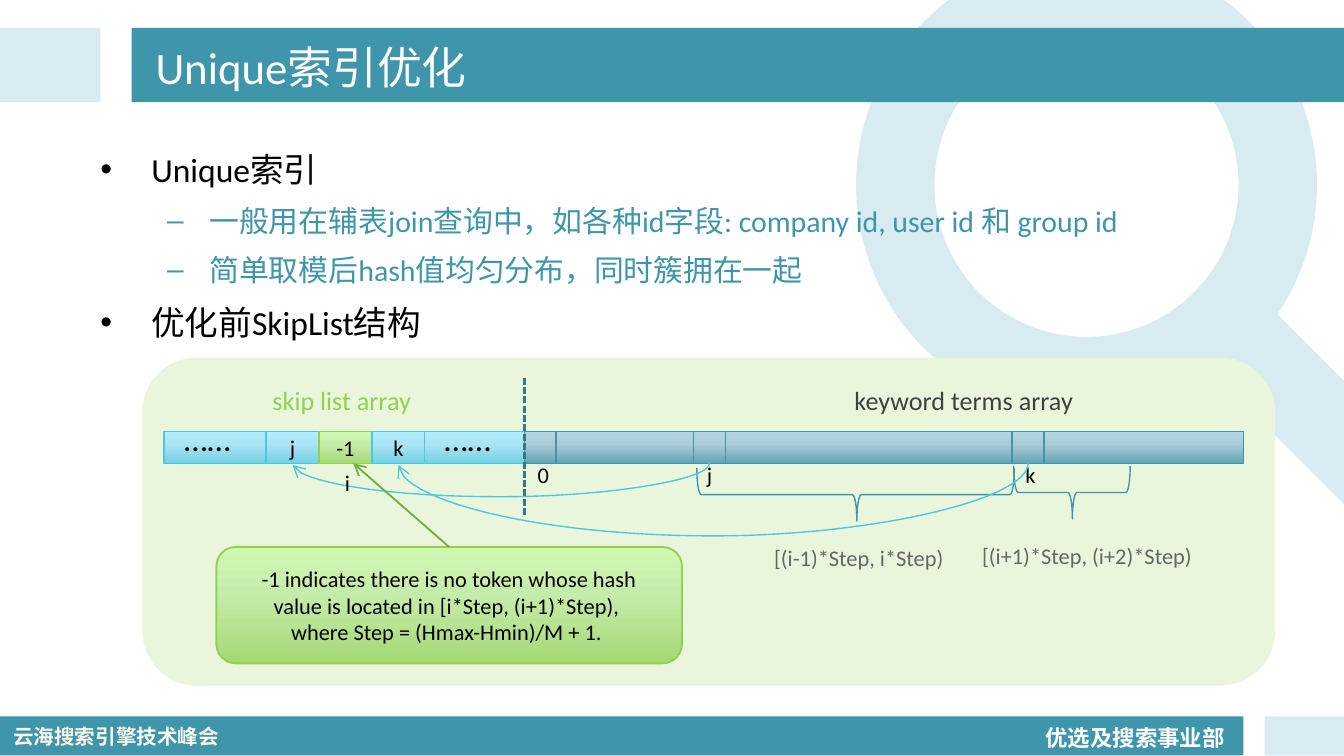
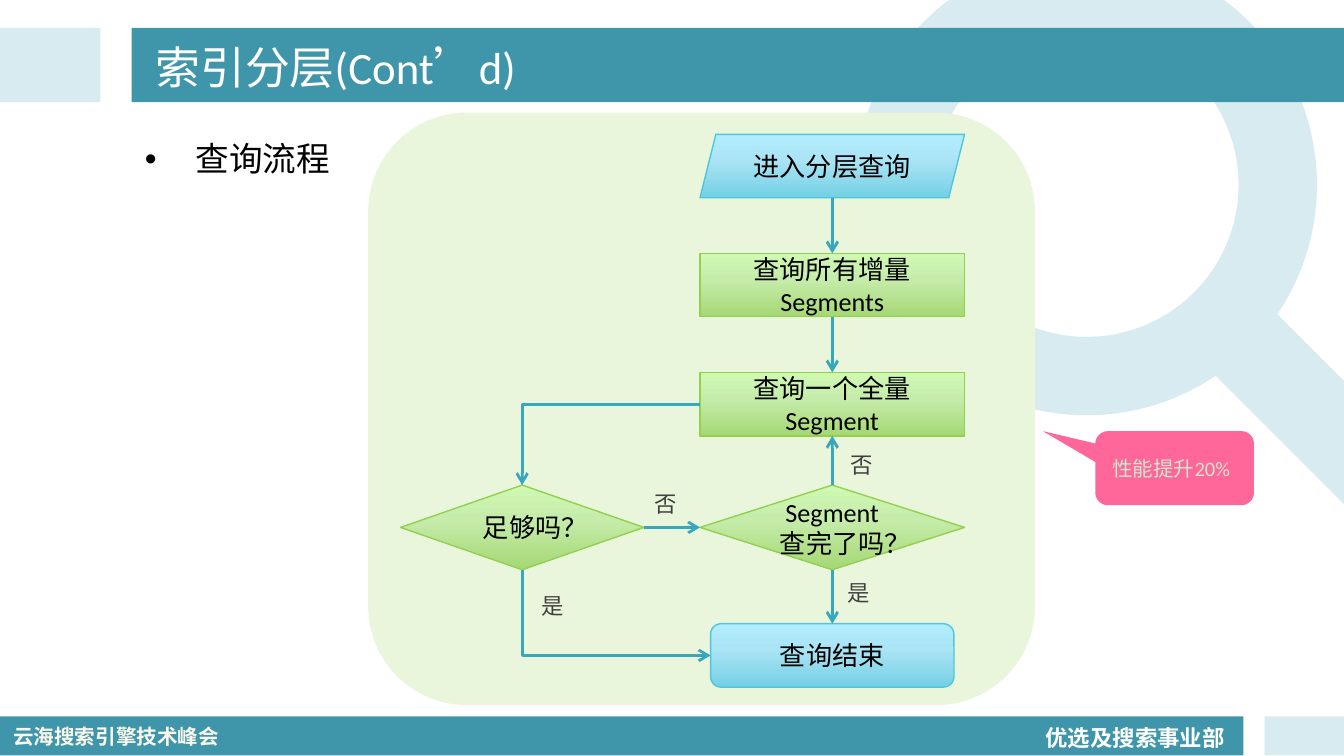
from copy import deepcopy
from typing import NamedTuple

from pptx import Presentation
from pptx.dml.color import RGBColor
from pptx.enum import dml, shapes, text
from pptx.oxml import ns, xmlchemy
from pptx.util import Cm, Pt

TEAL = RGBColor(0x3F, 0x95, 0xAA)
DEEP_TEAL = RGBColor(0x33, 0x7A, 0x8B)
FLOW_TEAL = RGBColor(0x37, 0xA7, 0xBE)
PALE = RGBColor(0xD7, 0xEB, 0xF0)
MINT = RGBColor(0xE9, 0xF6, 0xDC)
CYAN = RGBColor(0x4E, 0xC6, 0xDE)
LIME = RGBColor(0x92, 0xD0, 0x50)
LEAF = RGBColor(0x77, 0xAD, 0x3F)
PINK = RGBColor(0xFF, 0x66, 0x99)
SAGE = RGBColor(0xCB, 0xE7, 0xCE)
CREAM = RGBColor(0xF9, 0xF7, 0xEA)
WHITE = RGBColor(0xFF, 0xFF, 0xFF)
BLACK = RGBColor(0, 0, 0)
CHARCOAL = RGBColor(0x40, 0x40, 0x40)
GRAY = RGBColor(0x66, 0x66, 0x66)
STEEL_BLEND = [RGBColor.from_string(c) for c in ("B5D7E4", "ABCBD7", "62A3B5")]
CYAN_BLEND = [RGBColor.from_string(c) for c in ("B2EDFF", "AAE4F5", "74D0E4")]
LIME_BLEND = [RGBColor.from_string(c) for c in ("CFF9B3", "C6ECAB", "A5D874")]
STEEL_STYLE = dict(fill=STEEL_BLEND, line=TEAL)
CYAN_STYLE = dict(fill=CYAN_BLEND, line=CYAN)
LIME_STYLE = dict(fill=LIME_BLEND, line=LIME)

LATIN, CHINESE = "Calibri", "Noto Sans CJK SC"
FORM = shapes.MSO_SHAPE
LINK = shapes.MSO_CONNECTOR
CENTER = text.PP_ALIGN.CENTER
MIDDLE = text.MSO_ANCHOR.MIDDLE


class Box(NamedTuple):
    """A rectangle in centimetres."""
    x: float
    y: float
    w: float
    h: float

    def inner(self, dx, dy, w, h):
        """Return a rectangle offset from this one's corner."""
        return Box(self.x + dx, self.y + dy, w, h)

    def point(self, dx, dy):
        """Return a point offset from this rectangle's corner."""
        return self.x + dx, self.y + dy


def add_child(parent, tag, **attributes):
    """Append a drawing element to its parent."""
    child = xmlchemy.OxmlElement(tag)
    for key, value in attributes.items():
        child.set(key, value)
    parent.append(child)
    return child


def write(frame, content, size=12, color=BLACK, bold=False, font=LATIN, align=None,
          spacing=None, bullet=None, margin=0, hang=0):
    """Add one paragraph for each line of the content."""
    for line in content.split("\n"):
        paragraph = frame.paragraphs[-1]
        if paragraph.runs:
            paragraph = frame.add_paragraph()
        paragraph.alignment = align
        paragraph.line_spacing = spacing
        if bullet:
            paragraph.space_before = Pt(size * 0.2)
            properties = paragraph._p.get_or_add_pPr()
            properties.set("marL", str(Cm(margin)))
            properties.set("indent", str(-Cm(hang)))
            add_child(properties, "a:buFont", typeface="Arial")
            add_child(properties, "a:buChar", char=bullet)
        run = paragraph.add_run()
        run.text = line
        run.font.size, run.font.bold, run.font.name = Pt(size), bold, font
        run.font.color.rgb = color
        add_child(run._r.get_or_add_rPr(), "a:ea", typeface=CHINESE)


def label(slide, box, content, wrap=False, grow=True, anchor=None, **style):
    """Place a text box and return its frame."""
    frame = slide.shapes.add_textbox(*map(Cm, box)).text_frame
    frame.word_wrap = wrap
    frame.vertical_anchor = anchor
    if grow:
        frame.auto_size = text.MSO_AUTO_SIZE.SHAPE_TO_FIT_TEXT
    write(frame, content, **style)
    return frame


def blend(shape, colors):
    """Fill a shape from top to bottom with three colours."""
    shape.fill.gradient()
    shape.fill.gradient_angle = 270
    stops = shape._element.spPr.find(".//" + ns.qn("a:gsLst"))
    stops.insert(1, deepcopy(stops[0]))
    for stop, color, position in zip(shape.fill.gradient_stops, colors, (0, 0.4, 1)):
        stop.color.rgb, stop.position = color, position


def draw(slide, form, box, fill=None, line=None, width=0.75, rotation=0, adjust=(),
         content="", align=CENTER, **style):
    """Place a preset shape with its text."""
    shape = slide.shapes.add_shape(form, *map(Cm, box))
    shape.shadow.inherit = False
    shape.rotation = rotation
    for place, value in enumerate(adjust):
        shape.adjustments[place] = value
    if fill is None:
        shape.fill.background()
    elif isinstance(fill, list):
        blend(shape, fill)
    else:
        shape.fill.solid()
        shape.fill.fore_color.rgb = fill
    if line is None:
        shape.line.fill.background()
    else:
        shape.line.color.rgb, shape.line.width = line, Pt(width)
    if content:
        shape.text_frame.word_wrap = True
        shape.text_frame.vertical_anchor = MIDDLE
        write(shape.text_frame, content, align=align, **style)


def connect(slide, start, end, color, width, kind=LINK.STRAIGHT, turn=0, preset=None,
            adjust=None, dash=None, arrow=True):
    """Draw a connector, turned by a quarter when it leaves vertically."""
    if turn:
        cx, cy = (start[0] + end[0]) / 2, (start[1] + end[1]) / 2
        sign = 1 if turn == 90 else -1
        start, end = [(cx + sign * (y - cy), cy - sign * (x - cx)) for x, y in (start, end)]
    connector = slide.shapes.add_connector(kind, *map(Cm, (*start, *end)))
    connector.line.color.rgb, connector.line.width = color, Pt(width)
    if dash:
        connector.line.dash_style = dash
    properties = connector._element.spPr
    geometry = properties.find(ns.qn("a:prstGeom"))
    if turn:
        properties.find(ns.qn("a:xfrm")).set("rot", str(turn * 60000))
    if preset:
        geometry.set("prst", preset)
    if adjust:
        add_child(geometry.find(ns.qn("a:avLst")), "a:gd", name="adj1",
                  fmla=f"val {round(adjust * 100000)}")
    if arrow:
        add_child(properties.find(ns.qn("a:ln")), "a:tailEnd", type="arrow")
    add_child(properties, "a:effectLst")


def magnifier(slide, box):
    """Draw the large lens and its handle."""
    draw(slide, FORM.DONUT, box, fill=PALE, adjust=[0.17])
    draw(slide, FORM.ROUNDED_RECTANGLE, box.inner(5.82, 7.72, 5.44, 1.65), fill=PALE,
         rotation=45, adjust=[0.5])


def footer(slide, box):
    """Draw the bottom band with event and department."""
    draw(slide, FORM.RECTANGLE, box.inner(0, 0, 23.5, box.h), fill=TEAL)
    draw(slide, FORM.RECTANGLE, box.inner(23.9, 0, 1.5, box.h), fill=PALE)
    label(slide, box.inner(19.51, -0.08, 3.94, 0.84), "优选及搜索事业部", color=WHITE,
          bold=True, spacing=1.2)
    label(slide, box.inner(0, 0.02, 4.5, 0.74), "云海搜索引擎技术峰会", wrap=True, size=11,
          color=CREAM, bold=True, font=CHINESE)


def header(slide, box, title):
    """Draw the top band with the slide title."""
    draw(slide, FORM.RECTANGLE, box.inner(0, 0, 1.9, box.h), fill=PALE)
    draw(slide, FORM.RECTANGLE, box.inner(2.49, 0, 22.91, box.h), fill=TEAL)
    label(slide, box.inner(2.69, 0.05, 21.44, 1.37), title, wrap=True, grow=False,
          anchor=MIDDLE, size=24, color=WHITE)


def start_slide(deck, title):
    """Add a blank slide with the shared bands."""
    slide = deck.slides.add_slide(deck.slide_layouts[6])
    magnifier(slide, Box(16.18, -0.86, 8.71, 8.71))
    footer(slide, Box(0, 13.54, 25.4, 0.74))
    header(slide, Box(0, 0.53, 25.4, 1.4), title)
    return slide


def outline(slide, box, points):
    """Write bullet points given as level and wording."""
    levels = [dict(size=18, bullet="•", margin=0.96, hang=0.96),
              dict(size=16, bullet="–", margin=2.06, hang=0.8, color=TEAL)]
    (level, first), *others = points
    frame = label(slide, box, first, wrap=True, grow=False, spacing=1.2, **levels[level])
    for level, wording in others:
        write(frame, wording, spacing=1.2, **levels[level])


def skip_list(slide, box):
    """Draw the skip list array pointing into the keyword terms array."""
    top, high, split = 1.4, 0.6, 7.22
    bottom = top + high
    slots = {"0": split, "j": 10.42, "k": 16.44}
    cells = {"j": 2.34, "-1": 3.34, "k": 4.34}
    draw(slide, FORM.ROUNDED_RECTANGLE, box, fill=MINT)
    draw(slide, FORM.RECTANGLE, box.inner(split, top, 13.59, high), **STEEL_STYLE)
    draw(slide, FORM.RECTANGLE, box.inner(0.41, top, split - 0.41, high), **CYAN_STYLE)
    for name, x in cells.items():
        style = LIME_STYLE if name == "-1" else CYAN_STYLE
        draw(slide, FORM.RECTANGLE, box.inner(x, top, 1, high), content=name, **style)
    for x in (0.54, 5.46):
        label(slide, box.inner(x, 1.01, 1.47, 1.02), "……", size=18)
    label(slide, box.inner(2.21, 0.38, 3.18, 0.86), "skip list array", size=14, color=LIME)
    label(slide, box.inner(13.21, 0.38, 4.98, 0.86), "keyword terms array", size=14,
          color=CHARCOAL)
    for x, y, span in ((13.48, 2.59, 6), (17.57, 2.55, 2.2)):
        draw(slide, FORM.LEFT_BRACE, box.inner(x - 0.5, y - span / 2, 1, span), line=TEAL,
             rotation=270, adjust=[0.083, 0.504])
    for name, x in slots.items():
        draw(slide, FORM.RECTANGLE, box.inner(x, top, high, high), **STEEL_STYLE)
        label(slide, box.inner(x, 1.83, 0.7, 0.76), name)
    gap = 0.03
    for name, drop in (("j", 0.63), ("k", 1.37)):
        connect(slide, box.point(slots[name] + 0.3, bottom),
                box.point(cells[name] + 0.5, bottom + gap), CYAN, 0.75, kind=LINK.CURVE,
                turn=90, adjust=drop / gap)
    label(slide, box.inner(3.58, 1.98, 0.84, 0.76), "i", wrap=True)
    draw(slide, FORM.ROUNDED_RECTANGLE, box.inner(1.4, 3.58, 8.8, 2.2), width=1,
         content="-1 indicates there is no token whose hash value is located in "
                 "[i*Step, (i+1)*Step), \nwhere Step = (Hmax-Hmin)/M + 1. ", **LIME_STYLE)
    connect(slide, box.point(5.8, 3.58), box.point(3.99, bottom), LEAF, 1)
    connect(slide, box.point(split, 0.38), box.point(split, 3), DEEP_TEAL, 1.25,
            dash=dml.MSO_LINE.SQUARE_DOT, arrow=False)
    label(slide, box.inner(15.62, 3.37, 4.52, 0.76), "[(i+1)*Step, (i+2)*Step)", color=GRAY)
    label(slide, box.inner(11.69, 3.4, 3.73, 0.76), "[(i-1)*Step, i*Step)", color=GRAY)


def query_flow(slide, box):
    """Draw the flow chart of the layered query."""
    left, wide, high = 6.27, 5, 1.2
    middle, side = left + wide / 2, 2.91
    enter, recent, full = (0.41 + 2.25 * row for row in range(3))
    ask, ask_high, finish = 7.04, 1.6, 9.66
    ask_middle, ask_end = ask + ask_high / 2, ask + ask_high
    draw(slide, FORM.ROUNDED_RECTANGLE, box, fill=MINT)
    steps = (
        (FORM.PARALLELOGRAM, (left, enter, wide, high), "进入分层查询", CYAN_STYLE),
        (FORM.RECTANGLE, (left, recent, wide, high), "查询所有增量\nSegments", LIME_STYLE),
        (FORM.RECTANGLE, (left, full, wide, high), "查询一个全量Segment", LIME_STYLE),
        (FORM.DIAMOND, (side - 2.3, ask, 4.6, ask_high), "足够吗？", LIME_STYLE),
        (FORM.DIAMOND, (left, ask, wide, ask_high), "Segment\n查完了吗？", LIME_STYLE),
        (FORM.ROUNDED_RECTANGLE, (middle - 2.3, finish, 4.6, high), "查询结束", CYAN_STYLE),
    )
    for form, place, wording, style in steps:
        draw(slide, form, box.inner(*place), content=wording, size=14, **style)
    arrows = (
        ((middle, enter + high), (middle, recent), {}),
        ((middle, recent + high), (middle, full), {}),
        ((middle, ask), (middle, full + high), {}),
        ((middle, ask_end), (middle, finish), {}),
        ((side + 2.3, ask_middle), (left, ask_middle), {}),
        ((left, full + high / 2), (side, ask),
         dict(kind=LINK.ELBOW, preset="bentConnector2")),
        ((side, ask_end), (middle - 2.3, finish + high / 2),
         dict(kind=LINK.ELBOW, preset="bentConnector2", turn=270)),
    )
    for start, end, route in arrows:
        connect(slide, box.point(*start), box.point(*end), FLOW_TEAL, 1.5, **route)
    for answer, x, y in (("是", 8.81, 8.59), ("否", 8.86, 6.18), ("是", 3.02, 8.84),
                         ("否", 5.16, 6.91)):
        label(slide, box.inner(x, y, 0.94, 0.86), answer, color=CHARCOAL, spacing=1.2)


def unique_index_slide(deck):
    """Build the slide on the unique index."""
    slide = start_slide(deck, "Unique索引优化")
    skip_list(slide, Box(2.69, 6.76, 21.41, 6.2))
    outline(slide, Box(1.65, 2.54, 22.86, 4.6), (
        (0, "Unique索引"),
        (1, "一般用在辅表join查询中，如各种id字段: company id, user id 和 group id "),
        (1, "简单取模后hash值均匀分布，同时簇拥在一起"),
        (0, "优化前SkipList结构 ")))


def layered_index_slide(deck):
    """Build the slide on the layered query."""
    slide = start_slide(deck, "索引分层(Cont’d)")
    query_flow(slide, Box(6.96, 2.13, 12.6, 11.2))
    outline(slide, Box(2.49, 2.34, 21.64, 10.4), [(0, "查询流程")])
    draw(slide, FORM.ROUNDED_RECTANGULAR_CALLOUT, Box(20.7, 8.15, 3, 1.4), fill=PINK,
         adjust=[-0.83, -0.5, 0.17], content="性能提升20%", size=11, color=SAGE, align=None)


presentation = Presentation()
presentation.slide_width, presentation.slide_height = Cm(25.4), Cm(14.29)
unique_index_slide(presentation)
layered_index_slide(presentation)
presentation.save("out.pptx")
